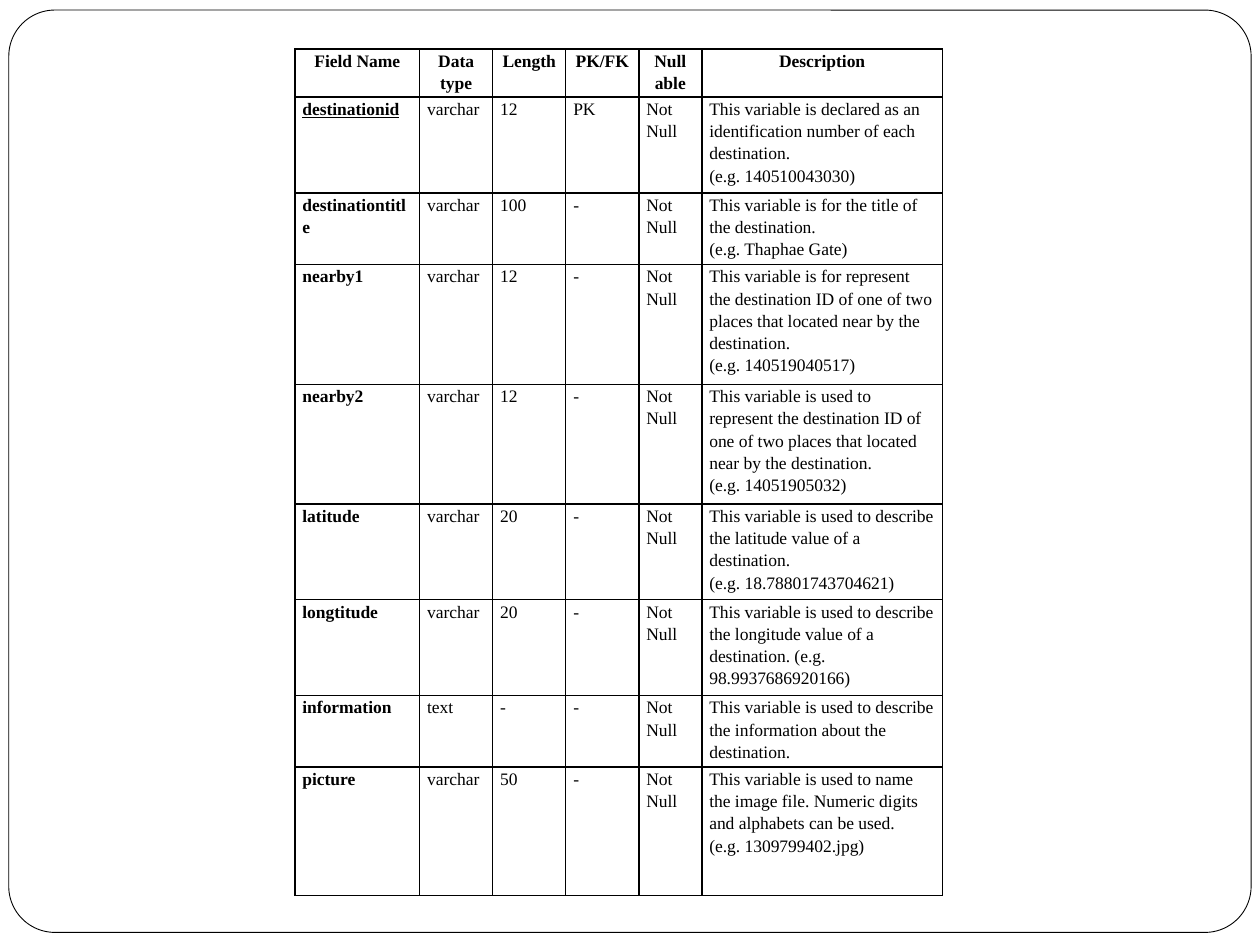
from dataclasses import dataclass
from typing import Any

from lxml.etree import SubElement as Sub
from pptx import Presentation
from pptx.dml.color import RGBColor
from pptx.enum.shapes import MSO_SHAPE as Shape
from pptx.enum.text import PP_ALIGN as Align
from pptx.oxml.ns import qn
from pptx.util import Inches, Pt

BLACK = RGBColor(0, 0, 0)
WHITE = RGBColor(255, 255, 255)

COLS = [0.99, 0.58, 0.58, 0.58, 0.5, 1.91]
ROWS = [0.38, 0.76, 0.57, 0.95, 0.95, 0.76, 0.76, 0.57, 1.02]
HEAD = ["Field Name", "Data type", "Length", "PK/FK", "Null able", "Description"]
FIELDS = [
    ("destinationid", "varchar", "12", "PK",
     "This variable is declared as an identification number of each destination.\n"
     "(e.g. 140510043030)"),
    ("destinationtitle", "varchar", "100", "-",
     "This variable is for the title of the destination.\n(e.g. Thaphae Gate)"),
    ("nearby1", "varchar", "12", "-",
     "This variable is for represent the destination ID of one of two places "
     "that located near by the destination.\n(e.g. 140519040517)"),
    ("nearby2", "varchar", "12", "-",
     "This variable is used to represent the destination ID of one of two places "
     "that located near by the destination.\n(e.g. 14051905032)"),
    ("latitude", "varchar", "20", "-",
     "This variable is used to describe the latitude value of a destination.\n"
     "(e.g. 18.78801743704621)"),
    ("longtitude", "varchar", "20", "-",
     "This variable is used to describe the longitude value of a destination. "
     "(e.g. 98.9937686920166)"),
    ("information", "text", "-", "-",
     "This variable is used to describe the information about the destination."),
    ("picture", "varchar", "50", "-",
     "This variable is used to name the image file. Numeric digits and alphabets "
     "can be used.\n(e.g. 1309799402.jpg)"),
]


def apply(item, values):
    for name, value in values.items():
        setattr(item, name, value)


@dataclass
class Page:
    """Holds the slide and its text style, and draws each kind of element."""

    slide: Any
    face: str = "Times New Roman"
    size: float = 10
    rule: float = 1

    def frame(self, x, y, w, h, bend):
        box = self.slide.shapes.add_shape(
            Shape.ROUNDED_RECTANGLE, Inches(x), Inches(y), Inches(w), Inches(h))
        box.adjustments[0] = bend
        box.shadow.inherit = False
        box.fill.solid()
        box.fill.fore_color.rgb = WHITE
        box.line.color.rgb = BLACK
        box.line.width = Pt(0.5)

    def table(self, x, y, cols, rows, data):
        grid = self.slide.shapes.add_table(
            len(rows), len(cols), Inches(x), Inches(y),
            Inches(sum(cols)), Inches(sum(rows))).table
        apply(grid, {"first_row": False, "horz_banding": False})
        for col, width in zip(grid.columns, cols):
            col.width = Inches(width)
        for row, height in zip(grid.rows, rows):
            row.height = Inches(height)
        for r, line in enumerate(data):
            for c, text in enumerate(line):
                self.cell(grid.cell(r, c), text, r == 0, c == 0, (r, c) == (1, 0))

    def cell(self, cell, text, head, lead, key):
        apply(cell, {"margin_left": Inches(0.06), "margin_right": Inches(0.06),
                     "margin_top": 0, "margin_bottom": 0})
        self.edge(cell)
        cell.fill.background()
        cell.text = text
        for para in cell.text_frame.paragraphs:
            apply(para, {"alignment": Align.CENTER if head else Align.LEFT,
                         "line_spacing": 1.15, "space_before": Pt(0.1)})
            for run in para.runs:
                apply(run.font, {"name": self.face, "size": Pt(self.size),
                                 "bold": head or lead, "underline": key})
                run.font.color.rgb = BLACK

    def edge(self, cell):
        props = cell._tc.get_or_add_tcPr()
        for side in "LRTB":
            line = Sub(props, qn(f"a:ln{side}"), w=str(Pt(self.rule)))
            fill = Sub(line, qn("a:solidFill"))
            Sub(fill, qn("a:srgbClr"), val=str(BLACK))


def main():
    deck = Presentation()
    apply(deck, {"slide_width": Inches(10), "slide_height": Inches(7.5)})
    page = Page(deck.slides.add_slide(deck.slide_layouts[6]))
    page.frame(0.07, 0.08, 9.86, 7.32, 0.05)
    body = [(*field, "Not Null", note) for *field, note in FIELDS]
    page.table(2.34, 0.39, COLS, ROWS, [HEAD, *body])
    deck.save("out.pptx")


if __name__ == "__main__":
    main()
